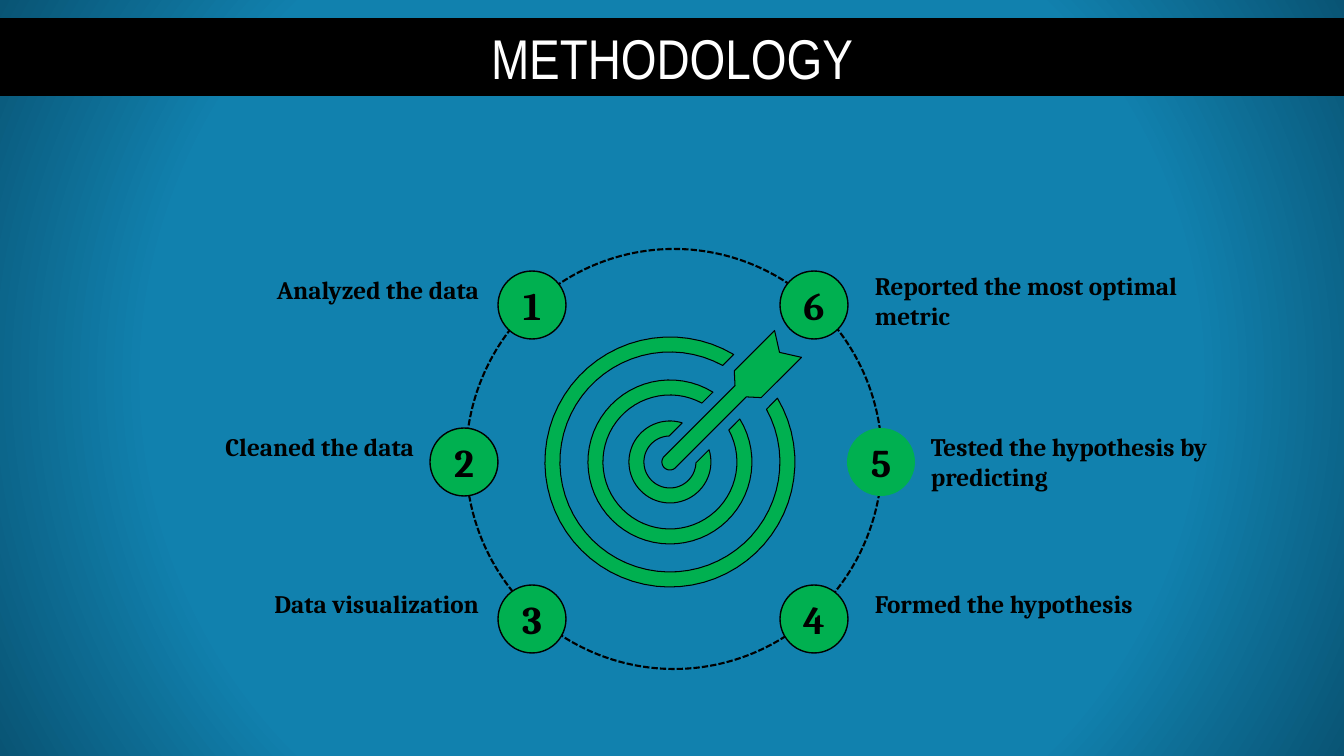
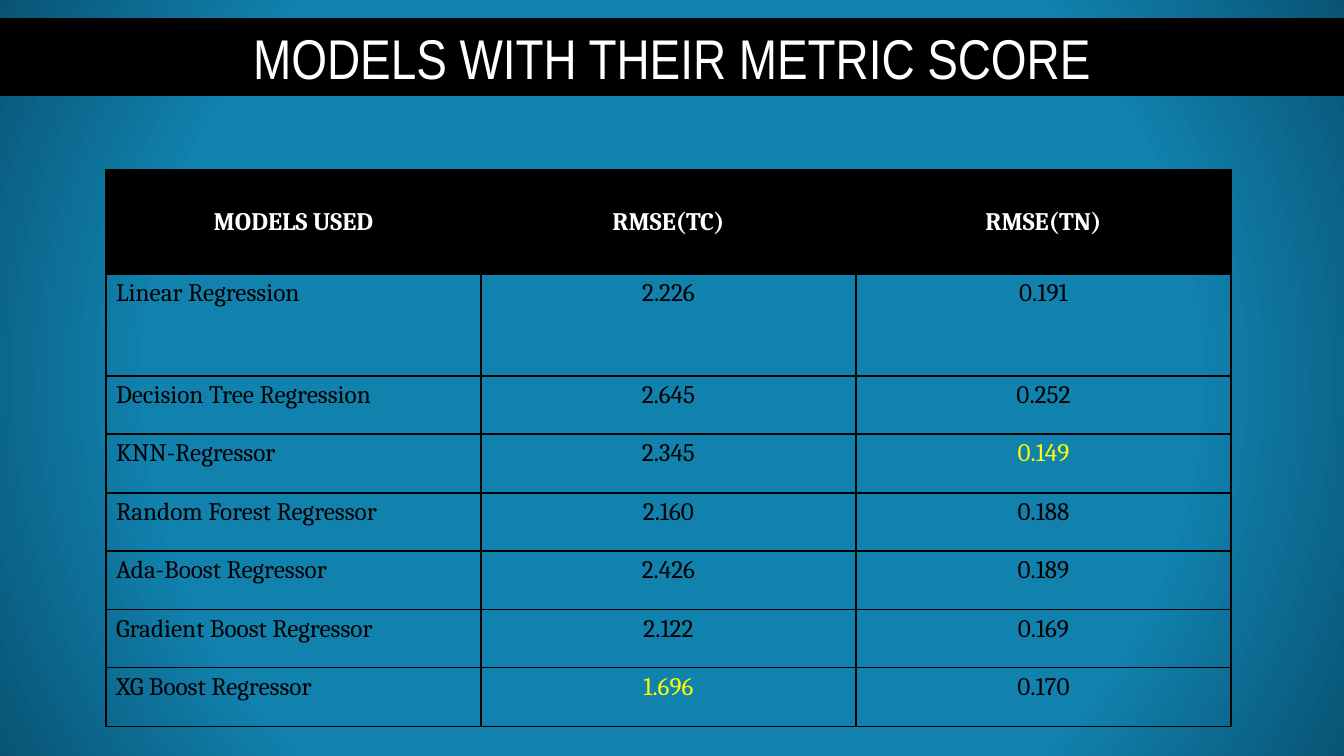
import math
from dataclasses import dataclass

import pptx
import pptx.dml.color
import pptx.enum.dml
import pptx.enum.shapes
import pptx.enum.text
import pptx.oxml
import pptx.oxml.ns
import pptx.util

EMU_PER_PX = 12192000 / 1344
PAGE_WIDTH, PAGE_HEIGHT = 1344, 756

ALIGN = pptx.enum.text.PP_ALIGN
ANCHOR = pptx.enum.text.MSO_ANCHOR
SHAPE = pptx.enum.shapes.MSO_SHAPE


@dataclass(frozen=True)
class Theme:
    sky: str = "1181AE"
    deep: str = "095474"
    ink: str = "000000"
    paper: str = "FFFFFF"
    accent: str = "00B050"
    best: str = "FFFF00"
    title_font: str = "Arial Narrow"
    body_font: str = "Cambria"
    title_size: int = 40
    number_size: int = 28
    body_size: int = 18


@dataclass(frozen=True)
class Step:
    number: str
    label: str
    badge_left: int
    badge_top: int
    label_left: int
    label_top: int
    align: ALIGN
    outlined: bool = True


@dataclass(frozen=True)
class Ring:
    outer: int
    inner: int
    half_gap: int


@dataclass(frozen=True)
class Score:
    model: str
    rmse_tc: str
    rmse_tn: str


THEME = Theme()

# Methodology: steps run down the left side and up the right side
BADGE_SIZE = 68
ROW_TOPS = [271 + 157 * row for row in range(3)]
LABEL_WIDTH, LABEL_HEIGHT = 349, 40
STEPS = [
    Step("1", "Analyzed the data", 498, ROW_TOPS[0], 140, 269, ALIGN.RIGHT),
    Step("2", "Cleaned the data", 430, ROW_TOPS[1], 75, 426, ALIGN.RIGHT),
    Step("3", "Data visualization", 498, ROW_TOPS[2], 140, 583, ALIGN.RIGHT),
    Step("4", "Formed the hypothesis", 780, ROW_TOPS[2], 865, 583, ALIGN.LEFT),
    Step("5", "Tested the hypothesis by predicting", 847, ROW_TOPS[1], 921, 426,
         ALIGN.LEFT, outlined=False),
    Step("6", "Reported the most optimal metric", 780, ROW_TOPS[0], 865, 265, ALIGN.LEFT),
]

# Target: rings open towards the upper right, where the arrow enters
TARGET_CENTRE = (670, 462)
RINGS = [Ring(41, 26, 19), Ring(82, 67, 19), Ring(125, 110, 31)]
ARROW_TIP_RADIUS = 8
# Distances along the shaft and across it
ARROW_TAIL = [(100, -8), (110, -19), (167, -19), (155, 0), (167, 19), (110, 19), (100, 8)]

# Models and scores
HEADINGS = ("MODELS USED", "RMSE(TC)", "RMSE(TN)")
SCORES = [
    Score("Linear Regression", "2.226", "0.191"),
    Score("Decision Tree Regression", "2.645", "0.252"),
    Score("KNN-Regressor", "2.345", "0.149"),
    Score("Random Forest Regressor", "2.160", "0.188"),
    Score("Ada-Boost Regressor", "2.426", "0.189"),
    Score("Gradient Boost Regressor", "2.122", "0.169"),
    Score("XG Boost Regressor", "1.696", "0.170"),
]
ROW_HEIGHTS = [104, 102] + [58, 59] * 3
COLUMN_WIDTH = 375


def px(length: float) -> pptx.util.Emu:
    return pptx.util.Emu(round(length * EMU_PER_PX))


def rgb(colour: str) -> pptx.dml.color.RGBColor:
    return pptx.dml.color.RGBColor.from_string(colour)


def write(frame, text: str, size: int, colour: str, *, font: str = THEME.body_font,
          bold: bool = False, align: ALIGN = ALIGN.CENTER) -> None:
    para = frame.paragraphs[0]
    para.alignment = align
    span = para.add_run()
    span.text = text
    span.font.name = font
    span.font.size = pptx.util.Pt(size)
    span.font.bold = bold
    span.font.color.rgb = rgb(colour)


def paint(shape, fill: str | None, line_width: float | None) -> None:
    """Set fill and outline; None leaves either one out."""
    shape.shadow.inherit = False
    if fill is None:
        shape.fill.background()
    else:
        shape.fill.solid()
        shape.fill.fore_color.rgb = rgb(fill)
    if line_width is None:
        shape.line.fill.background()
    else:
        shape.line.color.rgb = rgb(THEME.ink)
        shape.line.width = pptx.util.Pt(line_width)


def add_box(page, kind: SHAPE, left: int, top: int, width: int, height: int,
            fill: str | None, line_width: float | None = None):
    box = page.shapes.add_shape(kind, px(left), px(top), px(width), px(height))
    paint(box, fill, line_width)
    box.text_frame.word_wrap = True
    box.text_frame.vertical_anchor = ANCHOR.MIDDLE
    return box


def set_background(deck) -> None:
    """Give every page the radial gradient through the master."""
    master = deck.slide_master
    master.background.fill.solid()
    stops = "".join(
        f'<a:gs pos="{position * 1000}"><a:srgbClr val="{colour}"/></a:gs>'
        for position, colour in ((0, THEME.sky), (68, THEME.sky), (100, THEME.deep)))
    gradient = pptx.oxml.parse_xml(
        f'<a:gradFill {pptx.oxml.ns.nsdecls("a")} rotWithShape="1"><a:gsLst>{stops}</a:gsLst>'
        '<a:path path="circle"><a:fillToRect l="50000" t="50000" r="50000" b="50000"/>'
        '</a:path></a:gradFill>')
    properties = master.element.find(".//" + pptx.oxml.ns.qn("p:bgPr"))
    properties.replace(properties[0], gradient)


def add_page(deck):
    return deck.slides.add_slide(deck.slide_layouts[6])


def add_title(page, title: str) -> None:
    band = add_box(page, SHAPE.RECTANGLE, 0, 18, PAGE_WIDTH, 78, THEME.ink)
    write(band.text_frame, title, THEME.title_size, THEME.paper, font=THEME.title_font)


def add_step(page, step: Step) -> None:
    badge = add_box(page, SHAPE.OVAL, step.badge_left, step.badge_top, BADGE_SIZE, BADGE_SIZE,
                    THEME.accent, 1 if step.outlined else None)
    write(badge.text_frame, step.number, THEME.number_size, THEME.ink, bold=True)
    label = page.shapes.add_textbox(px(step.label_left), px(step.label_top),
                                    px(LABEL_WIDTH), px(LABEL_HEIGHT))
    label.text_frame.word_wrap = True
    write(label.text_frame, step.label, THEME.body_size, THEME.ink, bold=True, align=step.align)


def arc(radius: float, start: float, end: float) -> list[tuple[float, float]]:
    """Points on a circle, as distances along and across the arrow's axis."""
    count = 60
    angles = [start + (end - start) * index / count for index in range(count + 1)]
    return [(radius * math.cos(angle), radius * math.sin(angle)) for angle in angles]


def ring_outline(ring: Ring) -> list[tuple[float, float]]:
    outer_gap = math.asin(ring.half_gap / ring.outer)
    inner_gap = math.asin(ring.half_gap / ring.inner)
    return (arc(ring.outer, outer_gap, math.tau - outer_gap)
            + arc(ring.inner, math.tau - inner_gap, inner_gap))


def on_page(point: tuple[float, float]) -> tuple[int, int]:
    """Turn the arrow's axis 45 degrees upwards around the target's centre."""
    along, across = point
    return (px(TARGET_CENTRE[0] + (along + across) / math.sqrt(2)),
            px(TARGET_CENTRE[1] + (across - along) / math.sqrt(2)))


def add_target(page) -> None:
    arrow = ARROW_TAIL + arc(ARROW_TIP_RADIUS, math.pi / 2, math.pi * 3 / 2)
    outlines = [[on_page(point) for point in outline]
                for outline in [*map(ring_outline, RINGS), arrow]]
    builder = page.shapes.build_freeform(*outlines[0][0])
    for index, outline in enumerate(outlines):
        if index:
            builder.move_to(*outline[0])
        builder.add_line_segments(outline[1:], close=True)
    paint(builder.convert_to_shape(), THEME.accent, 0)


def add_borders(cell) -> None:
    properties = cell._tc.get_or_add_tcPr()
    for side in ("lnL", "lnR", "lnT", "lnB"):
        properties.append(pptx.oxml.parse_xml(
            f'<a:{side} {pptx.oxml.ns.nsdecls("a")} w="12700"><a:solidFill>'
            f'<a:srgbClr val="{THEME.ink}"/></a:solidFill></a:{side}>'))


def add_score_table(page) -> None:
    rows = [HEADINGS] + [(score.model, score.rmse_tc, score.rmse_tn) for score in SCORES]
    best = {(1, min(score.rmse_tc for score in SCORES)),
            (2, min(score.rmse_tn for score in SCORES))}
    table = page.shapes.add_table(len(rows), len(HEADINGS), px(106), px(170),
                                  px(COLUMN_WIDTH * len(HEADINGS)), px(sum(ROW_HEIGHTS))).table
    table.first_row = table.horz_banding = False
    for column in table.columns:
        column.width = px(COLUMN_WIDTH)
    for row_index, texts in enumerate(rows):
        table.rows[row_index].height = px(ROW_HEIGHTS[row_index])
        heading = row_index == 0
        for column_index, text in enumerate(texts):
            cell = table.cell(row_index, column_index)
            add_borders(cell)
            if heading:
                cell.fill.solid()
                cell.fill.fore_color.rgb = rgb(THEME.ink)
                cell.vertical_anchor = ANCHOR.MIDDLE
                colour = THEME.paper
            else:
                cell.fill.background()
                colour = THEME.best if (column_index, text) in best else THEME.ink
            align = ALIGN.CENTER if heading or column_index else ALIGN.LEFT
            write(cell.text_frame, text, THEME.body_size, colour, bold=heading, align=align)


def build_methodology(deck) -> None:
    page = add_page(deck)
    orbit = add_box(page, SHAPE.OVAL, 466, 249, 416, 420, None, 1.5)
    orbit.line.dash_style = pptx.enum.dml.MSO_LINE.SQUARE_DOT
    for step in STEPS:
        add_step(page, step)
    add_target(page)
    add_title(page, "METHODOLOGY")


def build_scores(deck) -> None:
    page = add_page(deck)
    add_score_table(page)
    add_title(page, "MODELS WITH THEIR METRIC SCORE")


def main() -> None:
    deck = pptx.Presentation()
    deck.slide_width, deck.slide_height = px(PAGE_WIDTH), px(PAGE_HEIGHT)
    set_background(deck)
    build_methodology(deck)
    build_scores(deck)
    deck.save("out.pptx")


if __name__ == "__main__":
    main()
